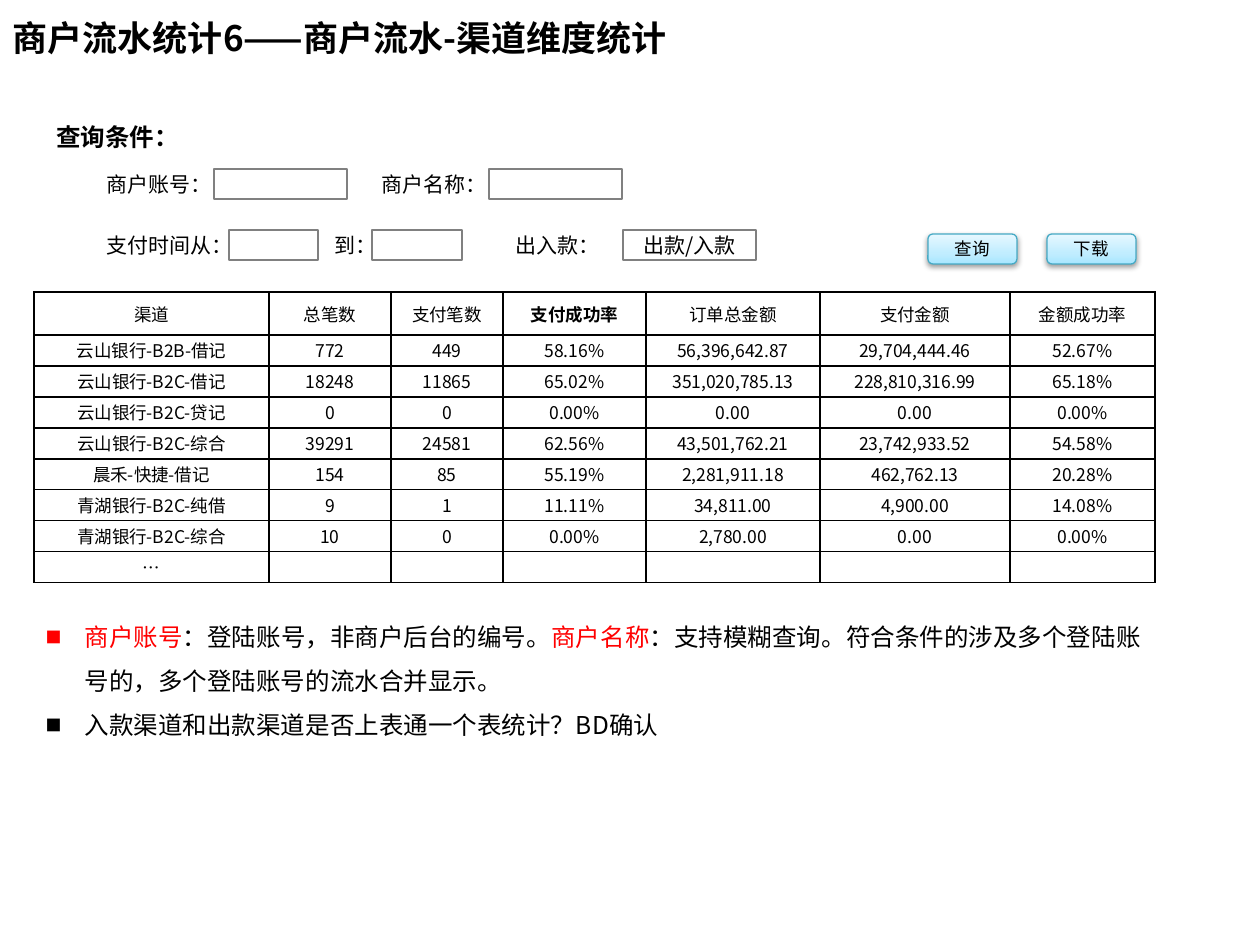
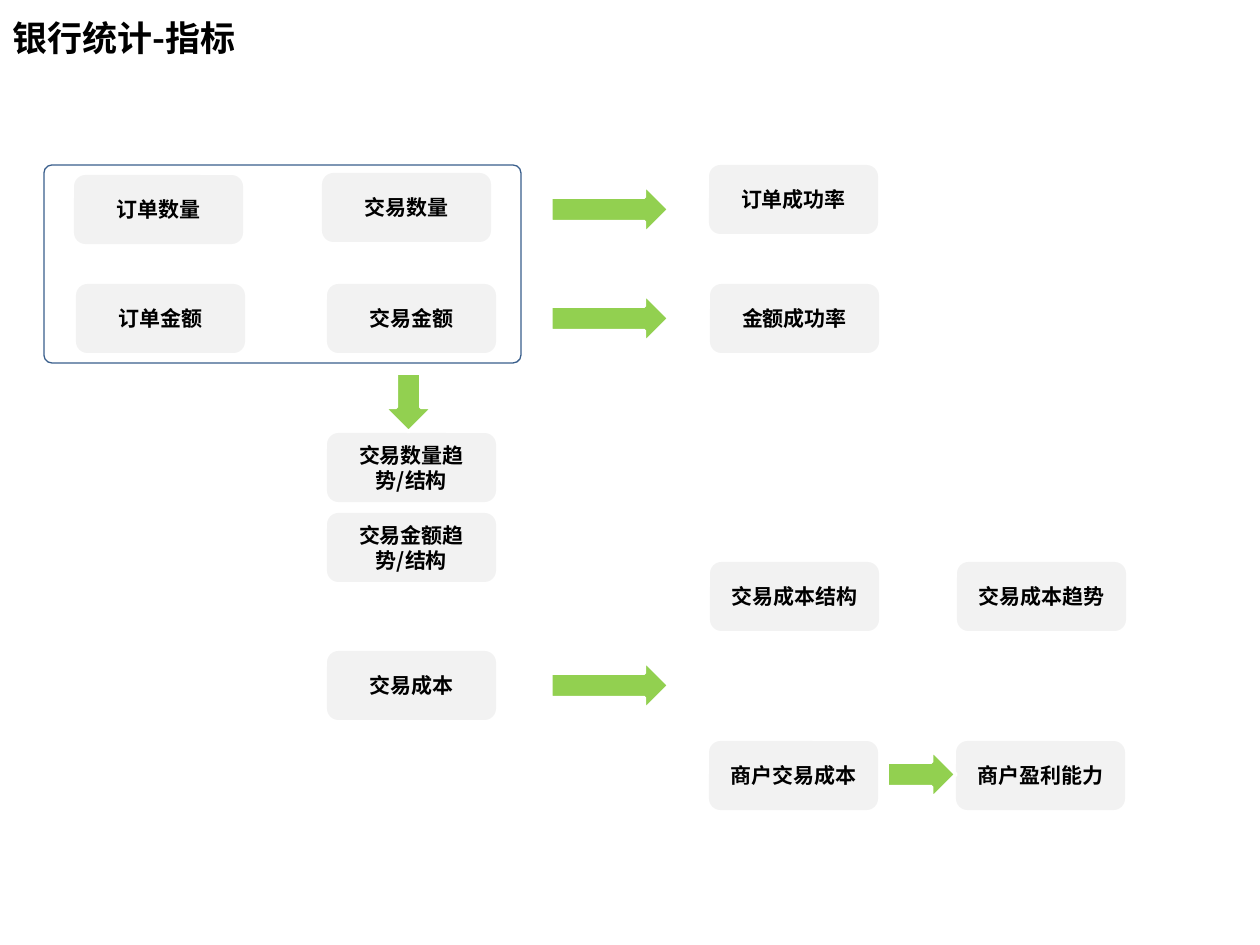
import dataclasses
import typing

import pptx
import pptx.dml.color
import pptx.enum.shapes
import pptx.enum.text
import pptx.oxml
import pptx.oxml.ns
import pptx.util

EMU_PER_PX = 914400 / 126
SHAPES = pptx.enum.shapes.MSO_SHAPE
ALIGN = pptx.enum.text.PP_ALIGN
ANCHOR = pptx.enum.text.MSO_ANCHOR
AUTO_SIZE = pptx.enum.text.MSO_AUTO_SIZE
XMLNS = pptx.oxml.ns.nsdecls("a")


@dataclasses.dataclass(frozen=True)
class Theme:
    font: str = "Noto Sans CJK SC"
    ink: str = "000000"
    accent: str = "FF0000"
    paper: str = "FFFFFF"
    field_line: str = "808080"
    button_line: str = "46AAC5"
    button_stops: tuple = ((0, "A7E6FF"), (35, "C1EDFF"), (100, "E7F8FF"))
    frame_line: str = "3A5F8C"
    node_fill: str = "F2F2F2"
    arrow_fill: str = "92D050"
    title_size: int = 20
    body_size: int = 14
    label_size: int = 12
    small_size: int = 10


THEME = Theme()


class Box(typing.NamedTuple):
    left: int
    top: int
    width: int
    height: int


class Label(typing.NamedTuple):
    text: str
    box: Box
    size: int = THEME.label_size
    bold: bool = False


@dataclasses.dataclass(frozen=True)
class Block:
    box: Box
    text: str = ""
    kind: typing.Any = SHAPES.ROUNDED_RECTANGLE
    fill: typing.Optional[str] = None
    line: typing.Optional[str] = None
    line_width: float = 0.75
    size: int = THEME.label_size
    bold: bool = False
    corner: typing.Optional[float] = None
    rotation: int = 0


TITLE_BOX = Box(0, -1, 927, 77)
REMARKS_BOX = Box(33, 601, 1141, 146)

LABELS = [
    Label("查询条件：", Box(44, 116, 149, 43), THEME.body_size, True),
    Label("商户账号：", Box(94, 165, 131, 38)),
    Label("商户名称：", Box(369, 165, 131, 38)),
    Label("支付时间从：", Box(94, 226, 152, 38)),
    Label("到：", Box(322, 226, 68, 38)),
    Label("出入款：", Box(503, 226, 111, 38)),
]
FIELDS = [
    (Box(214, 169, 133, 30), ""),
    (Box(489, 169, 133, 30), ""),
    (Box(229, 230, 89, 30), ""),
    (Box(372, 230, 90, 30), ""),
    (Box(623, 230, 133, 30), "出款/入款"),
]
BUTTONS = [("查询", 928), ("下载", 1047)]

TABLE_LEFT, TABLE_TOP = 34, 292
COLUMN_WIDTHS = [235, 122, 112, 143, 174, 190, 145]
HEADER_HEIGHT, ROW_HEIGHT = 43, 31
EMPHASIZED_HEADER = "支付成功率"
CHANNEL_ROWS = [
    ["渠道", "总笔数", "支付笔数", EMPHASIZED_HEADER, "订单总金额", "支付金额", "金额成功率"],
    ["云山银行-B2B-借记", "772", "449", "58.16%", "56,396,642.87", "29,704,444.46", "52.67%"],
    ["云山银行-B2C-借记", "18248", "11865", "65.02%", "351,020,785.13", "228,810,316.99", "65.18%"],
    ["云山银行-B2C-贷记", "0", "0", "0.00%", "0.00", "0.00", "0.00%"],
    ["云山银行-B2C-综合", "39291", "24581", "62.56%", "43,501,762.21", "23,742,933.52", "54.58%"],
    ["晨禾-快捷-借记", "154", "85", "55.19%", "2,281,911.18", "462,762.13", "20.28%"],
    ["青湖银行-B2C-纯借", "9", "1", "11.11%", "34,811.00", "4,900.00", "14.08%"],
    ["青湖银行-B2C-综合", "10", "0", "0.00%", "2,780.00", "0.00", "0.00%"],
    ["…"] + [""] * 6,
]
REMARKS = [
    [
        ("商户账号", THEME.accent),
        ("：登陆账号，非商户后台的编号。", THEME.ink),
        ("商户名称", THEME.accent),
        ("：支持模糊查询。符合条件的涉及多个登陆账号的，多个登陆账号的流水合并显示。", THEME.ink),
    ],
    [("入款渠道和出款渠道是否上表通一个表统计？BD确认", THEME.ink)],
]

NODE_WIDTH, NODE_HEIGHT = 169, 69
ARROW_HEIGHT = 49
METRICS = [
    ("订单数量", 74, 175),
    ("订单金额", 76, 284),
    ("交易数量", 322, 173),
    ("交易金额", 327, 284),
    ("订单成功率", 709, 165),
    ("金额成功率", 710, 284),
    ("交易数量趋势/结构", 327, 433),
    ("交易金额趋势/结构", 327, 513),
    ("交易成本", 327, 651),
    ("交易成本结构", 710, 562),
    ("交易成本趋势", 957, 562),
    ("商户交易成本", 709, 741),
    ("商户盈利能力", 956, 741),
]
FLOWS = [
    (551, 185, 118, 0),
    (551, 294, 118, 0),
    (551, 661, 118, 0),
    (379, 378, 59, 90),
    (887, 750, 69, 0),
]


def px(length: int) -> int:
    return round(length * EMU_PER_PX)


def emu(box: Box) -> list[int]:
    return [px(length) for length in box]


def rgb(color: str) -> pptx.dml.color.RGBColor:
    return pptx.dml.color.RGBColor.from_string(color)


def apply(target: typing.Any, formats: dict[str, typing.Any]) -> None:
    for attribute, setting in formats.items():
        setattr(target, attribute, setting)


def write(paragraph, text: str, size: int, bold: bool = False, color: str = THEME.ink) -> None:
    run = paragraph.add_run()
    run.text = text
    apply(run.font, {"size": pptx.util.Pt(size), "bold": bold, "name": THEME.font})
    run.font.color.rgb = rgb(color)
    east_asian = pptx.oxml.parse_xml(f'<a:ea {XMLNS} typeface="{THEME.font}"/>')
    run.font._element.find(pptx.oxml.ns.qn("a:latin")).addnext(east_asian)


def place(placeholder, box: Box, anchor) -> None:
    apply(placeholder, dict(zip(("left", "top", "width", "height"), emu(box))))
    apply(placeholder.text_frame, {"auto_size": AUTO_SIZE.NONE, "vertical_anchor": anchor})


def add_titled_slide(deck, layout_index: int, heading: str):
    slide = deck.slides.add_slide(deck.slide_layouts[layout_index])
    title = slide.shapes.title
    place(title, TITLE_BOX, ANCHOR.MIDDLE)
    paragraph = title.text_frame.paragraphs[0]
    paragraph.alignment = ALIGN.LEFT
    write(paragraph, heading, THEME.title_size, True)
    return slide


def add_label(slide, label: Label) -> None:
    caption = slide.shapes.add_textbox(*emu(label.box))
    apply(caption.text_frame, {"word_wrap": False, "auto_size": AUTO_SIZE.SHAPE_TO_FIT_TEXT})
    write(caption.text_frame.paragraphs[0], label.text, label.size, label.bold)


def add_block(slide, block: Block):
    shape = slide.shapes.add_shape(block.kind, *emu(block.box))
    shape.shadow.inherit = False
    shape.rotation = block.rotation
    if block.corner is not None:
        shape.adjustments[0] = block.corner
    if block.fill:
        shape.fill.solid()
        shape.fill.fore_color.rgb = rgb(block.fill)
    else:
        shape.fill.background()
    if block.line:
        shape.line.color.rgb = rgb(block.line)
        shape.line.width = pptx.util.Pt(block.line_width)
    else:
        shape.line.fill.background()
    if block.text:
        apply(shape.text_frame, {"word_wrap": True, "vertical_anchor": ANCHOR.MIDDLE})
        paragraph = shape.text_frame.paragraphs[0]
        paragraph.alignment = ALIGN.CENTER
        write(paragraph, block.text, block.size, block.bold)
    return shape


def add_button(slide, caption: str, left: int) -> None:
    button = add_block(slide, Block(Box(left, 234, 89, 30), caption, line=THEME.button_line, size=THEME.small_size))
    button.fill.gradient()
    button.fill.gradient_angle = 90
    properties = button._element.spPr
    stops = "".join(
        f'<a:gs pos="{position * 1000}"><a:srgbClr val="{color}"/></a:gs>' for position, color in THEME.button_stops
    )
    stop_list = properties.find(".//" + pptx.oxml.ns.qn("a:gsLst"))
    stop_list.getparent().replace(stop_list, pptx.oxml.parse_xml(f"<a:gsLst {XMLNS}>{stops}</a:gsLst>"))
    properties.find(pptx.oxml.ns.qn("a:effectLst")).append(
        pptx.oxml.parse_xml(
            f'<a:outerShdw {XMLNS} blurRad="40000" dist="20000" dir="5400000" rotWithShape="0">'
            f'<a:srgbClr val="{THEME.ink}"><a:alpha val="38000"/></a:srgbClr></a:outerShdw>'
        )
    )


def fill_cell(cell, text: str) -> None:
    margins = {"margin_left": px(5), "margin_right": px(5), "margin_top": px(2), "margin_bottom": px(2)}
    apply(cell, {**margins, "vertical_anchor": ANCHOR.MIDDLE})
    cell.fill.background()
    paragraph = cell.text_frame.paragraphs[0]
    paragraph.alignment = ALIGN.CENTER
    if text:
        write(paragraph, text, THEME.small_size, text == EMPHASIZED_HEADER)
    else:
        paragraph._p.get_or_add_endParaRPr().set("sz", str(THEME.small_size * 100))
    properties = cell._tc.get_or_add_tcPr()
    for index, side in enumerate("LRTB"):
        border = pptx.oxml.parse_xml(
            f'<a:ln{side} {XMLNS} w="12700"><a:solidFill><a:srgbClr val="{THEME.ink}"/></a:solidFill></a:ln{side}>'
        )
        properties.insert(index, border)


def add_channel_table(slide) -> None:
    row_heights = [HEADER_HEIGHT] + [ROW_HEIGHT] * (len(CHANNEL_ROWS) - 1)
    box = Box(TABLE_LEFT, TABLE_TOP, sum(COLUMN_WIDTHS), sum(row_heights))
    channels = slide.shapes.add_table(len(CHANNEL_ROWS), len(COLUMN_WIDTHS), *emu(box)).table
    apply(channels, {"first_row": False, "horz_banding": False})
    for column, width in zip(channels.columns, COLUMN_WIDTHS):
        column.width = px(width)
    for row, height, texts in zip(channels.rows, row_heights, CHANNEL_ROWS):
        row.height = px(height)
        for cell, text in zip(row.cells, texts):
            fill_cell(cell, text)


def add_remarks(slide) -> None:
    body = slide.placeholders[1]
    place(body, REMARKS_BOX, ANCHOR.TOP)
    for index, pieces in enumerate(REMARKS):
        paragraph = body.text_frame.add_paragraph() if index else body.text_frame.paragraphs[0]
        apply(paragraph, {"line_spacing": 1.5, "space_before": pptx.util.Pt(0)})
        properties = paragraph._p.get_or_add_pPr()
        properties.set("marL", str(px(39)))
        properties.set("indent", str(px(-39)))
        for bullet in ('buSzPct {} val="65000"', f'buFont {{}} typeface="{THEME.font}"', 'buChar {} char="■"'):
            properties.append(pptx.oxml.parse_xml(f"<a:{bullet.format(XMLNS)}/>"))
        for text, color in pieces:
            write(paragraph, text, THEME.body_size, color=color)


def build_channel_slide(deck) -> None:
    slide = add_titled_slide(deck, 1, "商户流水统计6——商户流水-渠道维度统计")
    add_remarks(slide)
    for label in LABELS:
        add_label(slide, label)
    for box, text in FIELDS:
        add_block(slide, Block(box, text, SHAPES.RECTANGLE, line=THEME.field_line, line_width=1.5))
    for caption, left in BUTTONS:
        add_button(slide, caption, left)
    add_channel_table(slide)


def build_metrics_slide(deck) -> None:
    slide = add_titled_slide(deck, 5, "银行统计-指标")
    add_block(slide, Block(Box(44, 165, 477, 198), fill=THEME.paper, line=THEME.frame_line, corner=0.04))
    for metric, left, top in METRICS:
        add_block(slide, Block(Box(left, top, NODE_WIDTH, NODE_HEIGHT), metric, fill=THEME.node_fill, bold=True))
    for left, top, width, rotation in FLOWS:
        box = Box(left, top, width, ARROW_HEIGHT)
        arrow = Block(box, "", SHAPES.RIGHT_ARROW, THEME.arrow_fill, THEME.paper, 2, rotation=rotation)
        add_block(slide, arrow)


def main() -> None:
    deck = pptx.Presentation()
    apply(deck, {"slide_width": px(1260), "slide_height": px(945)})
    build_channel_slide(deck)
    build_metrics_slide(deck)
    deck.save("out.pptx")


if __name__ == "__main__":
    main()
